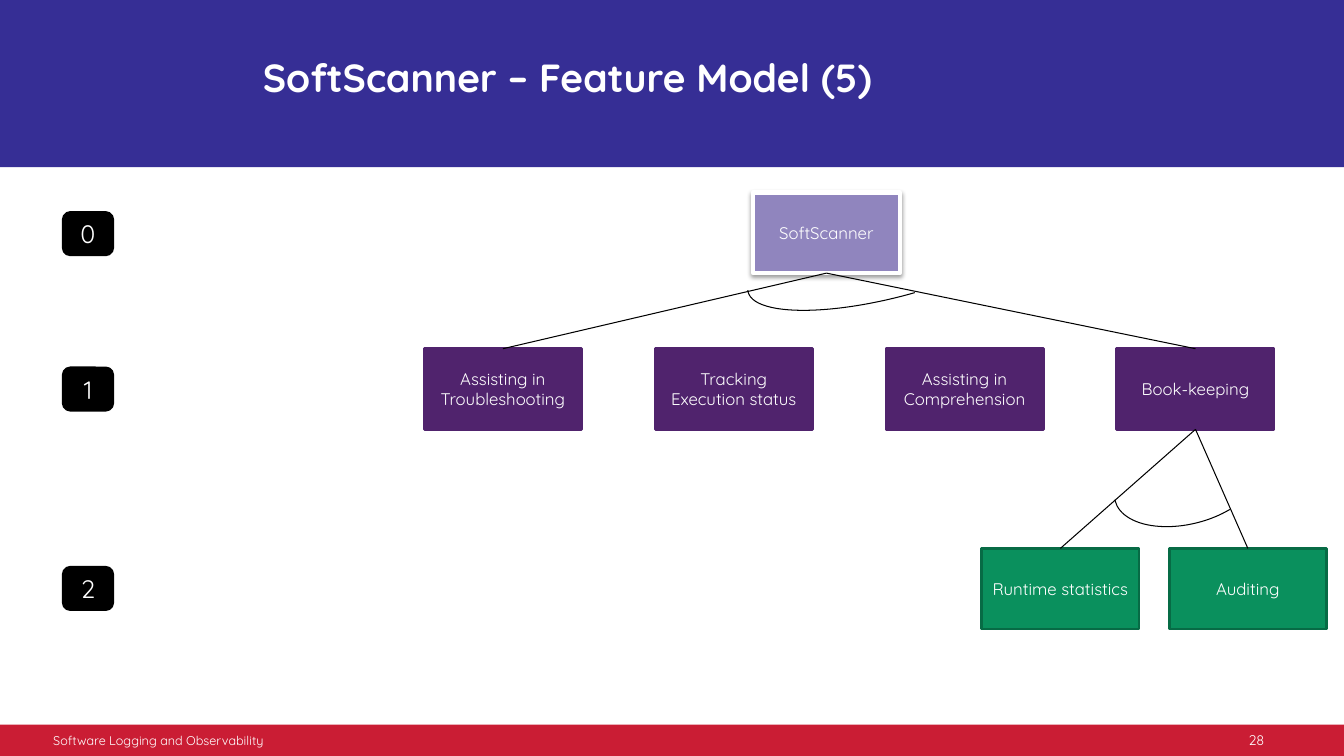
from dataclasses import dataclass
from lxml import etree
from pptx import Presentation
from pptx.dml.color import RGBColor
from pptx.enum.shapes import MSO_CONNECTOR, MSO_SHAPE
from pptx.enum.text import MSO_ANCHOR, PP_ALIGN
from pptx.oxml.ns import qn
from pptx.util import Pt

RECT, ROUND, ARC = MSO_SHAPE.RECTANGLE, MSO_SHAPE.ROUNDED_RECTANGLE, MSO_SHAPE.ARC
STRAIGHT = MSO_CONNECTOR.STRAIGHT
LEFT, CENTER = PP_ALIGN.LEFT, PP_ALIGN.CENTER
TOP, MIDDLE = MSO_ANCHOR.TOP, MSO_ANCHOR.MIDDLE
TOP_SITE, BOTTOM_SITE = 0, 2


@dataclass(frozen=True)
class Theme:
    font: str = "Quicksand"
    white: str = "FFFFFF"
    black: str = "000000"
    header: str = "362E95"
    footer: str = "CA1D34"
    root: str = "9085BE"
    goal: str = "50236D"
    leaf: str = "0A905D"
    leaf_line: str = "076B45"
    title_size: float = 28
    level_size: float = 18
    node_size: float = 12
    number_size: float = 10
    footer_size: float = 9


T = Theme()
W, H = 960, 540
NODE_W, NODE_H = 112.3, 57.6


def rgb(color):
    return RGBColor.from_string(color)


def write(sp, text, size, align=CENTER, anchor=MIDDLE, bold=False, inset=7.2):
    tf = sp.text_frame
    tf.word_wrap = True
    tf.vertical_anchor = anchor
    tf.margin_left = tf.margin_right = Pt(inset)
    tf.margin_top = tf.margin_bottom = Pt(inset / 2)
    p = tf.paragraphs[0]
    p.alignment = align
    r = p.add_run()
    r.text = text
    r.font.name, r.font.size, r.font.bold = T.font, Pt(size), bold
    r.font.color.rgb = rgb(T.white)
    return p


def add_box(s, kind, box, fill, line=None, width=2):
    sp = s.shapes.add_shape(kind, *map(Pt, box))
    sp.shadow.inherit = False
    sp.fill.solid()
    sp.fill.fore_color.rgb = rgb(fill)
    if line:
        sp.line.color.rgb = rgb(line)
        sp.line.width = Pt(width)
    else:
        sp.line.fill.background()
    return sp


def add_label(s, box, text, size, **style):
    return write(s.shapes.add_textbox(*map(Pt, box)), text, size, **style)


def add_header(s, x, y, w, h):
    add_box(s, RECT, (x, y, w, h), T.header)
    p = add_label(s, (x + 180.7, y + 38.2, 733.7, 49), "SoftScanner – Feature Model (5)",
                  T.title_size, align=LEFT, anchor=TOP, bold=True)
    p.line_spacing = 0.9


def add_footer(s, x, y, w, h):
    add_box(s, RECT, (x, y, w, h), T.footer)
    add_label(s, (x + 38, y, 829.4, h), "Software Logging and Observability",
              T.footer_size, align=LEFT, inset=0)
    add_label(s, (x + 879.8, y, 35.3, h), "28", T.number_size)


def add_levels(s, x, tops, w, h):
    for level, top in enumerate(tops):
        sp = add_box(s, ROUND, (x, top, w, h), T.black, T.black)
        sp.adjustments[0] = 0.167
        write(sp, str(level), T.level_size)


def add_node(s, x, y, text, fill, line, w=NODE_W, h=NODE_H, width=2):
    sp = add_box(s, RECT, (x, y, w, h), fill, line, width)
    write(sp, text, T.node_size)
    return sp


def add_soft_shadow(sp):
    effects = sp.element.spPr.find(qn("a:effectLst"))
    shadow = etree.SubElement(effects, qn("a:outerShdw"), blurRad="40000", dist="20000",
                              dir="5400000", rotWithShape="0")
    color = etree.SubElement(shadow, qn("a:srgbClr"), val=T.black)
    etree.SubElement(color, qn("a:alpha"), val="38000")


def add_branch(s, parent, child):
    line = s.shapes.add_connector(STRAIGHT, 0, 0, 0, 0)
    line.begin_connect(parent, BOTTOM_SITE)
    line.end_connect(child, TOP_SITE)
    line.line.color.rgb = rgb(T.black)
    line.line.width = Pt(0.75)
    etree.SubElement(line.element.spPr, qn("a:effectLst"))


def add_group_arc(s, box, start):
    sp = add_box(s, ARC, box, T.white, T.black, 0.75)
    sp.fill.background()
    sp.rotation = 165.9
    sp.adjustments[0], sp.adjustments[1] = start, 0.5


def add_feature_tree(s, x, y):
    # Nodes, one row per level
    root = add_node(s, x + 234.7, y, "SoftScanner", T.root, T.white, w=105.1, width=3)
    add_soft_shadow(root)
    goals = [add_node(s, x + i * 164.9, y + 111.6, text, T.goal, T.goal)
             for i, text in enumerate(["Assisting in Troubleshooting", "Tracking Execution status",
                                       "Assisting in Comprehension", "Book-keeping"])]
    leaves = [add_node(s, x + 398.2 + i * 133.9, y + 254.2, text, T.leaf, T.leaf_line)
              for i, text in enumerate(["Runtime statistics", "Auditing"])]

    # Branches to the outer children, joined by an arc
    for parent, children in ((root, (goals[0], goals[-1])), (goals[-1], leaves)):
        for child in children:
            add_branch(s, parent, child)
    add_group_arc(s, (x + 228.2, y + 16.6, 205.9, 59), 148.29)
    add_group_arc(s, (x + 491.8, y + 177.8, 105.8, 59), 135.65)


def main():
    prs = Presentation()
    prs.slide_width, prs.slide_height = Pt(W), Pt(H)
    s = prs.slides.add_slide(prs.slide_layouts[6])
    add_header(s, 0, 0, W, 119.5)
    add_footer(s, 0, H - 22.4, W, 22.4)
    add_levels(s, 45.2, (151.8, 262.8, 405.2), 35.3, 30.2)
    add_feature_tree(s, 303.1, 137.5)
    prs.save("out.pptx")


if __name__ == "__main__":
    main()
